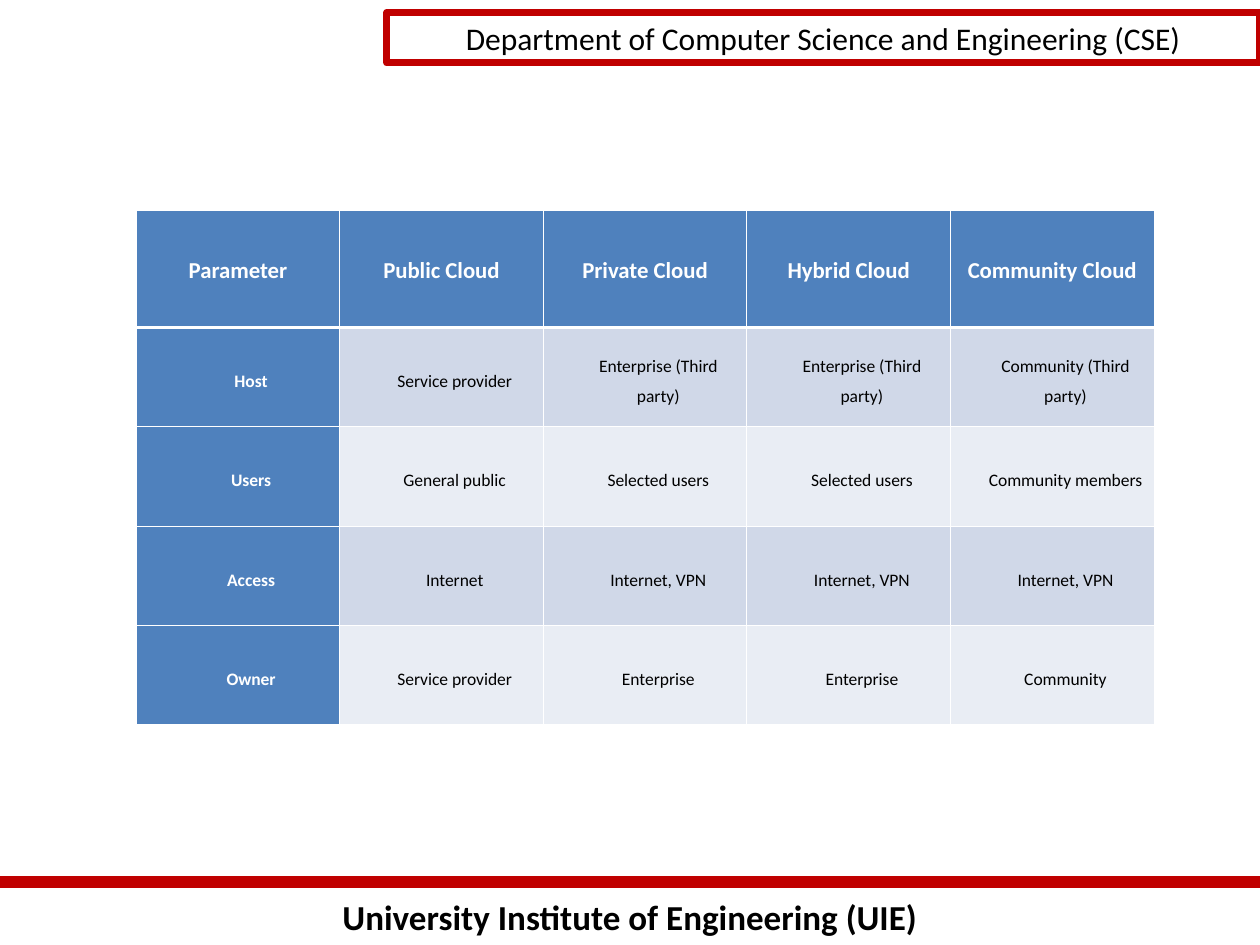
from lxml import etree
from pptx import Presentation
from pptx.dml.color import RGBColor
from pptx.enum.shapes import MSO_CONNECTOR, MSO_SHAPE
from pptx.enum.text import MSO_ANCHOR, PP_ALIGN
from pptx.oxml.ns import qn
from pptx.util import Inches, Pt

CENTER = PP_ALIGN.CENTER
MIDDLE = MSO_ANCHOR.MIDDLE
RECTANGLE = MSO_SHAPE.RECTANGLE
STRAIGHT = MSO_CONNECTOR.STRAIGHT

FONT = "Calibri"
RED, BLACK, WHITE = "C00000", "000000", "FFFFFF"
BLUE = "4F81BD"
BANDS = ["D0D8E8", "E9EDF4"]
THIN, THICK = 0.45, 1.47

CLOUD_ROWS = [
    ["Parameter", "Public Cloud", "Private Cloud", "Hybrid Cloud", "Community Cloud"],
    ["Host", "Service provider", "Enterprise (Third party)",
     "Enterprise (Third party)", "Community (Third party)"],
    ["Users", "General public", "Selected users", "Selected users", "Community members"],
    ["Access", "Internet", "Internet, VPN", "Internet, VPN", "Internet, VPN"],
    ["Owner", "Service provider", "Enterprise", "Enterprise", "Community"],
]
HEADER_HEIGHT = 0.93
TABLE_LEFT, TABLE_TOP, TABLE_WIDTH, TABLE_HEIGHT = 1.08, 1.67, 8.08, 4.08


def color(hex_value):
    return RGBColor.from_string(hex_value)


def write(text_frame, text, size, hex_value=BLACK, bold=False):
    """Write one centred paragraph and return it."""
    text_frame.word_wrap = True
    paragraph = text_frame.paragraphs[0]
    paragraph.text = text
    paragraph.alignment = CENTER
    font = paragraph.font
    font.name, font.size, font.bold = FONT, Pt(size), bold
    font.color.rgb = color(hex_value)
    return paragraph


def add_department_banner(slide):
    banner = slide.shapes.add_shape(
        RECTANGLE, Inches(3.07), Inches(0.1), Inches(6.93), Inches(0.4))
    banner.shadow.inherit = False
    banner.fill.background()
    banner.line.color.rgb = color(RED)
    banner.line.width = Pt(4)
    banner.text_frame.vertical_anchor = MIDDLE
    write(banner.text_frame, "Department of Computer Science and Engineering (CSE)", 18)


def add_institute_footer(slide):
    rule = slide.shapes.add_connector(
        STRAIGHT, Inches(0), Inches(7), Inches(10), Inches(7))
    rule.line.color.rgb = color(RED)
    rule.line.width = Pt(7)
    etree.SubElement(rule._element.spPr, qn("a:effectLst"))

    institute = slide.shapes.add_textbox(
        Inches(0), Inches(7.06), Inches(10), Inches(0.44))
    write(institute.text_frame, "University Institute of Engineering (UIE)", 20, bold=True)


def set_borders(cell, top, bottom):
    """Draw white cell borders; must run before the cell is filled."""
    properties = cell._tc.get_or_add_tcPr()
    for side, width in (("L", THIN), ("R", THIN), ("T", top), ("B", bottom)):
        border = etree.SubElement(properties, qn(f"a:ln{side}"), w=str(Pt(width)))
        fill = etree.SubElement(border, qn("a:solidFill"))
        etree.SubElement(fill, qn("a:srgbClr"), val=WHITE)


def format_cell(cell, text, row, column):
    is_header = row == 0
    is_label = is_header or column == 0
    set_borders(cell, top=THICK if row == 1 else THIN, bottom=THICK if is_header else THIN)
    cell.fill.solid()
    cell.fill.fore_color.rgb = color(BLUE if is_label else BANDS[(row - 1) % 2])
    cell.vertical_anchor = MIDDLE
    cell.margin_left = cell.margin_right = Inches(0.13 if is_header else 0.08)
    cell.margin_top = cell.margin_bottom = Inches(0.05)

    paragraph = write(cell.text_frame, text, 13 if is_header else 10,
                      WHITE if is_label else BLACK, is_label)
    paragraph.space_after = Pt(10)
    paragraph.line_spacing = 1.15 if is_header else Pt(17.2)
    if not is_header:
        paragraph._p.get_or_add_pPr().set("marL", str(Inches(0.21)))


def add_cloud_table(slide):
    row_count, column_count = len(CLOUD_ROWS), len(CLOUD_ROWS[0])
    table = slide.shapes.add_table(
        row_count, column_count, Inches(TABLE_LEFT), Inches(TABLE_TOP),
        Inches(TABLE_WIDTH), Inches(TABLE_HEIGHT)).table

    # Equal columns; body rows share the height below the header
    for column in table.columns:
        column.width = Inches(TABLE_WIDTH / column_count)
    body_height = (TABLE_HEIGHT - HEADER_HEIGHT) / (row_count - 1)
    for index, row in enumerate(table.rows):
        row.height = Inches(body_height if index else HEADER_HEIGHT)

    for row, texts in enumerate(CLOUD_ROWS):
        for column, text in enumerate(texts):
            format_cell(table.cell(row, column), text, row, column)


def main():
    presentation = Presentation()
    presentation.slide_width = Inches(10)
    presentation.slide_height = Inches(7.5)
    slide = presentation.slides.add_slide(presentation.slide_layouts[6])
    add_institute_footer(slide)
    add_department_banner(slide)
    add_cloud_table(slide)
    presentation.save("out.pptx")


if __name__ == "__main__":
    main()
